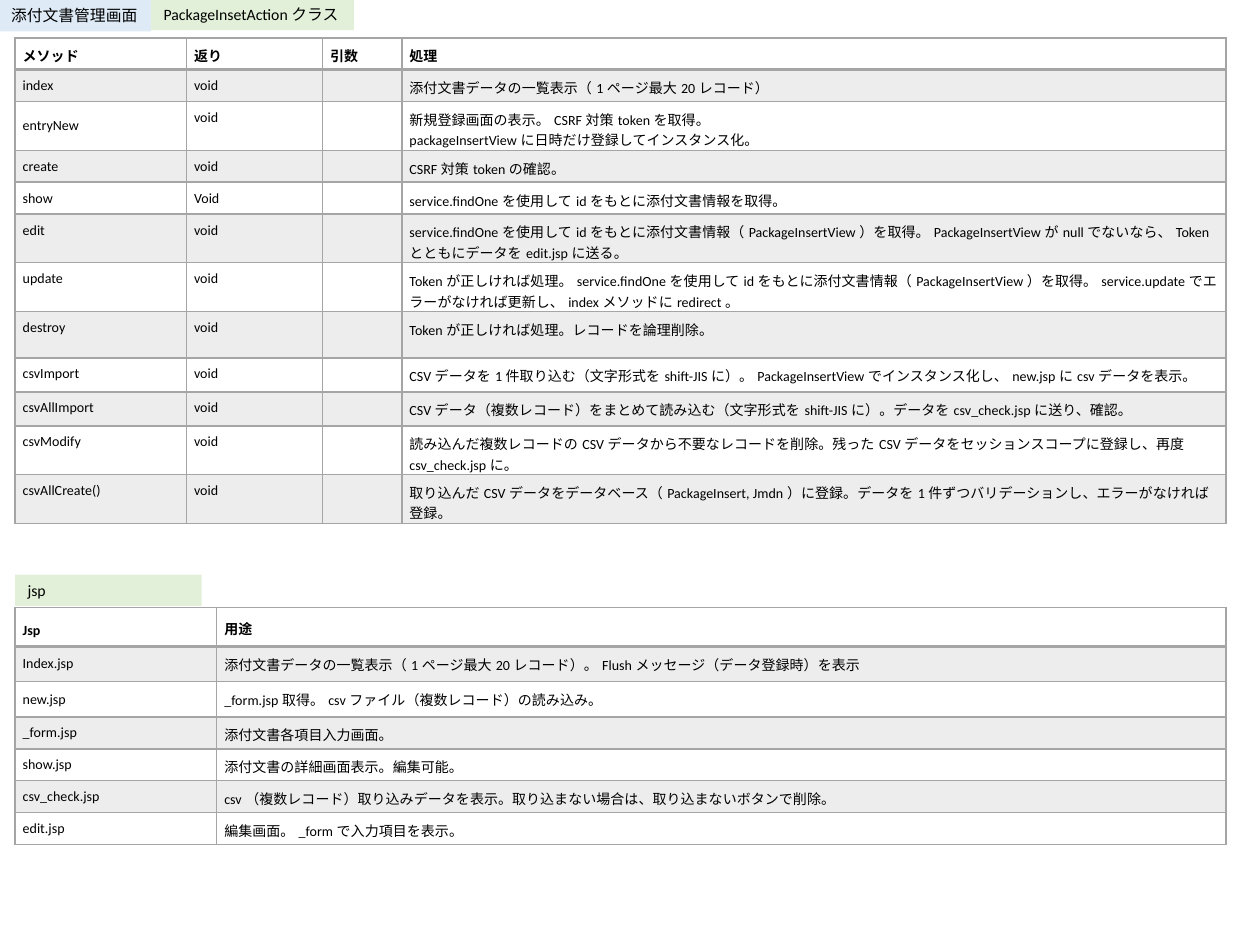
from lxml.etree import SubElement
from pptx import Presentation
from pptx.dml.color import RGBColor
from pptx.enum.shapes import MSO_SHAPE
from pptx.enum.text import MSO_ANCHOR as Anchor, MSO_AUTO_SIZE as AutoSize, PP_ALIGN as Align
from pptx.oxml import parse_xml
from pptx.oxml.ns import nsdecls, qn
from pptx.util import Inches, Pt

FONT = "Calibri"
BLACK, GRAY, BLUE, GREEN = "000000", "A5A5A5", "DEEBF7", "E2F0D9"
BAND_OPACITY = 20

METHOD_WIDTHS = [1.36, 1.08, 0.63, 6.54]
METHOD_HEIGHTS = [0.22, 0.22, 0.34, 0.22, 0.22, 0.34, 0.37, 0.37, 0.27, 0.27, 0.34, 0.29]
METHOD_HEADER = ["メソッド", "返り", "引数", "処理"]
METHODS = [
    ("index", "void", "添付文書データの一覧表示（1ページ最大20レコード）"),
    ("entryNew", "void", "新規登録画面の表示。CSRF対策tokenを取得。\n"
     "packageInsertViewに日時だけ登録してインスタンス化。"),
    ("create", "void", "CSRF対策tokenの確認。"),
    ("show", "Void", "service.findOneを使用してidをもとに添付文書情報を取得。"),
    ("edit", "void", "service.findOneを使用してidをもとに添付文書情報（PackageInsertView）を取得。"
     "PackageInsertViewがnullでないなら、Tokenとともにデータをedit.jspに送る。"),
    ("update", "void", "Tokenが正しければ処理。service.findOneを使用してidをもとに添付文書情報"
     "（PackageInsertView）を取得。service.updateでエラーがなければ更新し、"
     "indexメソッドにredirect。"),
    ("destroy", "void", "Tokenが正しければ処理。レコードを論理削除。"),
    ("csvImport", "void", "CSVデータを1件取り込む（文字形式をshift-JISに）。"
     "PackageInsertViewでインスタンス化し、new.jspにcsvデータを表示。"),
    ("csvAllImport", "void", "CSVデータ（複数レコード）をまとめて読み込む"
     "（文字形式をshift-JISに）。データをcsv_check.jspに送り、確認。"),
    ("csvModify", "void", "読み込んだ複数レコードのCSVデータから不要なレコードを削除。"
     "残ったCSVデータをセッションスコープに登録し、再度csv_check.jspに。"),
    ("csvAllCreate()", "void", "取り込んだCSVデータをデータベース（PackageInsert, Jmdn）に登録。"
     "データを1件ずつバリデーションし、エラーがなければ登録。"),
]

JSP_WIDTHS = [1.6, 8.01]
JSP_HEIGHTS = [0.31, 0.28, 0.28, 0.22, 0.22, 0.22, 0.22]
JSP_HEADER = ["Jsp", "用途"]
JSP_PAGES = [
    ("Index.jsp", "添付文書データの一覧表示（1ページ最大20レコード）。"
     "Flushメッセージ（データ登録時）を表示"),
    ("new.jsp", "_form.jsp取得。csvファイル（複数レコード）の読み込み。"),
    ("_form.jsp", "添付文書各項目入力画面。"),
    ("show.jsp", "添付文書の詳細画面表示。編集可能。"),
    ("csv_check.jsp", "csv（複数レコード）取り込みデータを表示。"
     "取り込まない場合は、取り込まないボタンで削除。"),
    ("edit.jsp", "編集画面。_formで入力項目を表示。"),
]


def color(value):
    """Turn a hex string into a colour."""
    return RGBColor.from_string(value)


def write_text(frame, text, size=8, bold=False, anchor=Anchor.TOP):
    """Write one paragraph for each line of the text."""
    frame.vertical_anchor = anchor
    for index, line in enumerate(text.split("\n")):
        paragraph = frame.paragraphs[0] if index == 0 else frame.add_paragraph()
        paragraph.alignment = Align.LEFT
        if not line:
            SubElement(paragraph._p, qn("a:endParaRPr"), sz=str(size * 100))
            continue
        run = paragraph.add_run()
        run.text = line
        run.font.name = FONT
        run.font.size = Pt(size)
        run.font.bold = bold
        run.font.color.rgb = color(BLACK)


def add_label(slide, box, text, fill, wrap=True):
    """Place a filled heading label in the box."""
    shape = slide.shapes.add_shape(MSO_SHAPE.RECTANGLE, *map(Inches, box))
    shape.shadow.inherit = False
    shape.fill.solid()
    shape.fill.fore_color.rgb = color(fill)
    shape.line.fill.background()
    shape.text_frame.word_wrap = wrap
    shape.text_frame.auto_size = AutoSize.SHAPE_TO_FIT_TEXT
    write_text(shape.text_frame, text, size=9)


def set_fill(cell, banded):
    """Give the cell a translucent gray band or no fill."""
    if not banded:
        cell.fill.background()
        return
    cell.fill.solid()
    cell.fill.fore_color.rgb = color(GRAY)
    tint = cell._tc.tcPr.find(f".//{qn('a:srgbClr')}")
    SubElement(tint, qn("a:alpha"), val=str(BAND_OPACITY * 1000))


def set_borders(cell, top=1, bottom=1):
    """Draw the four gray borders of the cell."""
    widths = {"lnL": 1, "lnR": 1, "lnT": top, "lnB": bottom}
    for index, (tag, width) in enumerate(widths.items()):
        border = parse_xml(
            f'<a:{tag} {nsdecls("a")} w="{Pt(width)}"><a:solidFill>'
            f'<a:srgbClr val="{GRAY}"/></a:solidFill></a:{tag}>')
        cell._tc.tcPr.insert(index, border)


def add_grid(slide, left, top, widths, heights, rows, middle_rows):
    """Place a table with a bold header and alternate gray rows."""
    frame = slide.shapes.add_table(
        len(rows), len(widths), Inches(left), Inches(top),
        Inches(sum(widths)), Inches(sum(heights)))
    table = frame.table
    table.first_row = table.horz_banding = False
    for column, width in zip(table.columns, widths):
        column.width = Inches(width)
    for row, height in zip(table.rows, heights):
        row.height = Inches(height)
    for row_index, values in enumerate(rows):
        header = row_index == 0
        for column_index, text in enumerate(values):
            cell = table.cell(row_index, column_index)
            cell.margin_left = cell.margin_right = Inches(0.06)
            cell.margin_top = cell.margin_bottom = Inches(0.06)
            middle = column_index == 0 and row_index in middle_rows
            cell.vertical_anchor = (
                Anchor.BOTTOM if header else Anchor.MIDDLE if middle else Anchor.TOP)
            write_text(cell.text_frame, text, bold=header, anchor=None)
            set_fill(cell, row_index % 2 == 1)
            set_borders(cell, top=2 if row_index == 1 else 1, bottom=2 if header else 1)


def add_action_section(slide, left, top):
    """Place the screen and class labels and the method table."""
    add_label(slide, (left - 0.13, top - 0.3, 1.21, 0.25), "添付文書管理画面", BLUE, wrap=False)
    rows = [METHOD_HEADER] + [(name, result, "", action) for name, result, action in METHODS]
    add_grid(slide, left, top, METHOD_WIDTHS, METHOD_HEIGHTS, rows, range(1, 3))
    add_label(slide, (left + 1.08, top - 0.31, 1.61, 0.25), "PackageInsetActionクラス", GREEN)


def add_jsp_section(slide, left, top):
    """Place the jsp label and the page table."""
    add_grid(slide, left, top, JSP_WIDTHS, JSP_HEIGHTS, [JSP_HEADER] + JSP_PAGES, range(1, 6))
    add_label(slide, (left, top - 0.26, 1.48, 0.25), "jsp", GREEN)


def main():
    """Build and save the presentation."""
    presentation = Presentation()
    presentation.slide_width, presentation.slide_height = Inches(10), Inches(7.5)
    slide = presentation.slides.add_slide(presentation.slide_layouts[6])
    add_action_section(slide, 0.12, 0.3)
    add_jsp_section(slide, 0.12, 4.82)
    presentation.save("out.pptx")


if __name__ == "__main__":
    main()
